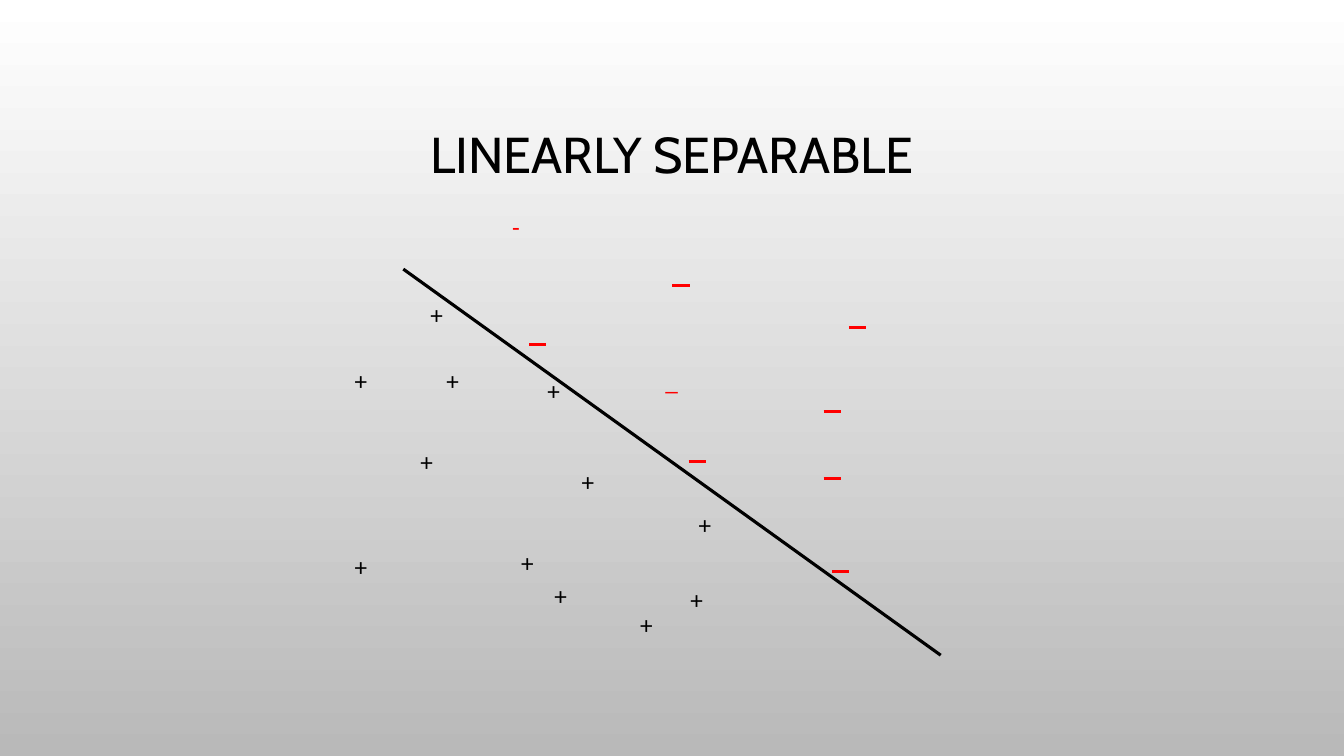
from lxml import etree
from pptx import Presentation
from pptx.dml.color import RGBColor
from pptx.enum.shapes import MSO_CONNECTOR
from pptx.enum.text import MSO_ANCHOR, MSO_AUTO_SIZE, PP_ALIGN
from pptx.oxml.ns import qn
from pptx.util import Inches, Pt

STRAIGHT = MSO_CONNECTOR.STRAIGHT
MIDDLE = MSO_ANCHOR.MIDDLE
CENTER = PP_ALIGN.CENTER
FIT_SHAPE = MSO_AUTO_SIZE.SHAPE_TO_FIT_TEXT

COLORS = {"black": "000000", "red": "FF0000", "top": "FFFFFF", "bottom": "B9B9B9"}

# Left and top of each plus sign's box
PLUSES = [
    (4.33, 3.58), (4.07, 4.38), (5.67, 4.58), (4.17, 2.92),
    (3.42, 5.42), (5.33, 3.67), (3.42, 3.58), (5.07, 5.38),
    (6.75, 5.75), (5.4, 5.71), (6.25, 6), (6.83, 5),
]
# Left end of each drawn minus sign
MINUSES = [
    (6.83, 4.58), (6.67, 2.83), (8.42, 3.25), (8.25, 5.67),
    (5.25, 3.42), (8.17, 4.08), (8.17, 4.75),
]
MINUS_LENGTH = 0.17


def rgb(name):
    return RGBColor.from_string(COLORS[name])


def set_background(s):
    fill = s.background.fill
    fill.gradient()
    fill.gradient_angle = 270
    for stop, name in zip(fill.gradient_stops, ("top", "bottom")):
        stop.color.rgb = rgb(name)


def add_text(s, text, x, y, w, h, font, size, color):
    tf = s.shapes.add_textbox(Inches(x), Inches(y), Inches(w), Inches(h)).text_frame
    p = tf.paragraphs[0]
    p.text = text
    p.font.name = font
    p.font.size = Pt(size)
    p.font.color.rgb = rgb(color)
    return tf


def add_title(s, text):
    tf = add_text(s, text, 1, 0.68, 11.33, 1.75, "Cabin", 36, "black")
    tf.word_wrap = True
    tf.vertical_anchor = MIDDLE
    p = tf.paragraphs[0]
    p.alignment = CENTER
    p.line_spacing = 0.9


def add_mark(s, text, x, y, color, w=0.33):
    tf = add_text(s, text, x, y, w, 0.4, "Calibri", 18, color)
    tf.word_wrap = False
    tf.auto_size = FIT_SHAPE


def add_line(s, x1, y1, x2, y2, color):
    line = s.shapes.add_connector(STRAIGHT, Inches(x1), Inches(y1), Inches(x2), Inches(y2))
    line.line.color.rgb = rgb(color)
    line.line.width = Pt(2.25)
    etree.SubElement(line._element.spPr, qn("a:effectLst"))


def main():
    prs = Presentation()
    prs.slide_width, prs.slide_height = Inches(13.33), Inches(7.5)
    s = prs.slides.add_slide(prs.slide_layouts[6])
    set_background(s)
    add_title(s, "LINEARLY SEPARABLE")

    # Separating line
    add_line(s, 4, 2.67, 9.33, 6.5, "black")

    # Positive class
    for x, y in PLUSES:
        add_mark(s, "+", x, y, "black")

    # Negative class: two typed marks, the rest drawn
    add_mark(s, "-", 4.98, 2.05, "red", w=0.28)
    add_mark(s, "_", 6.5, 3.58, "red")
    for x, y in MINUSES:
        add_line(s, x, y, x + MINUS_LENGTH, y, "red")

    prs.save("out.pptx")


if __name__ == "__main__":
    main()
